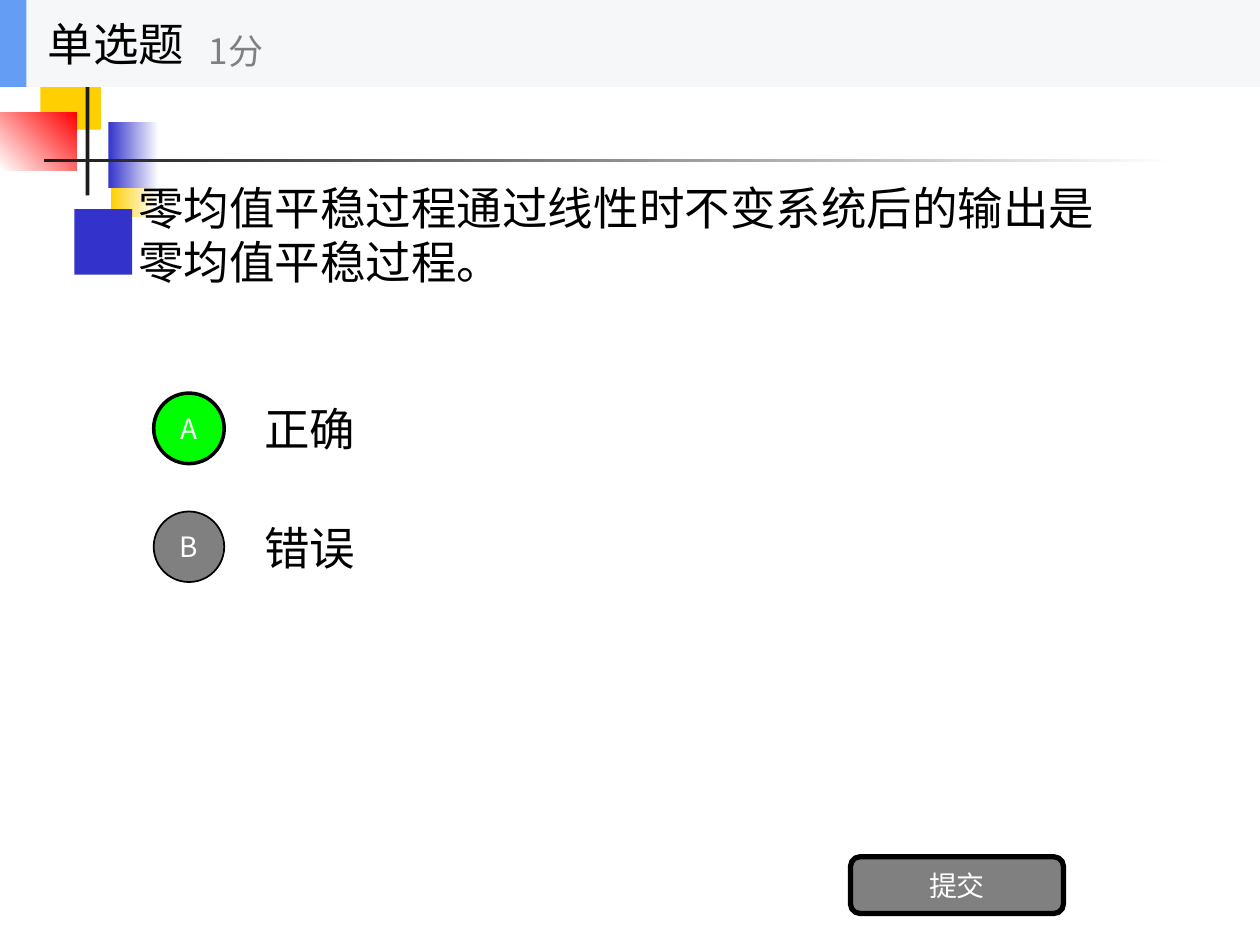
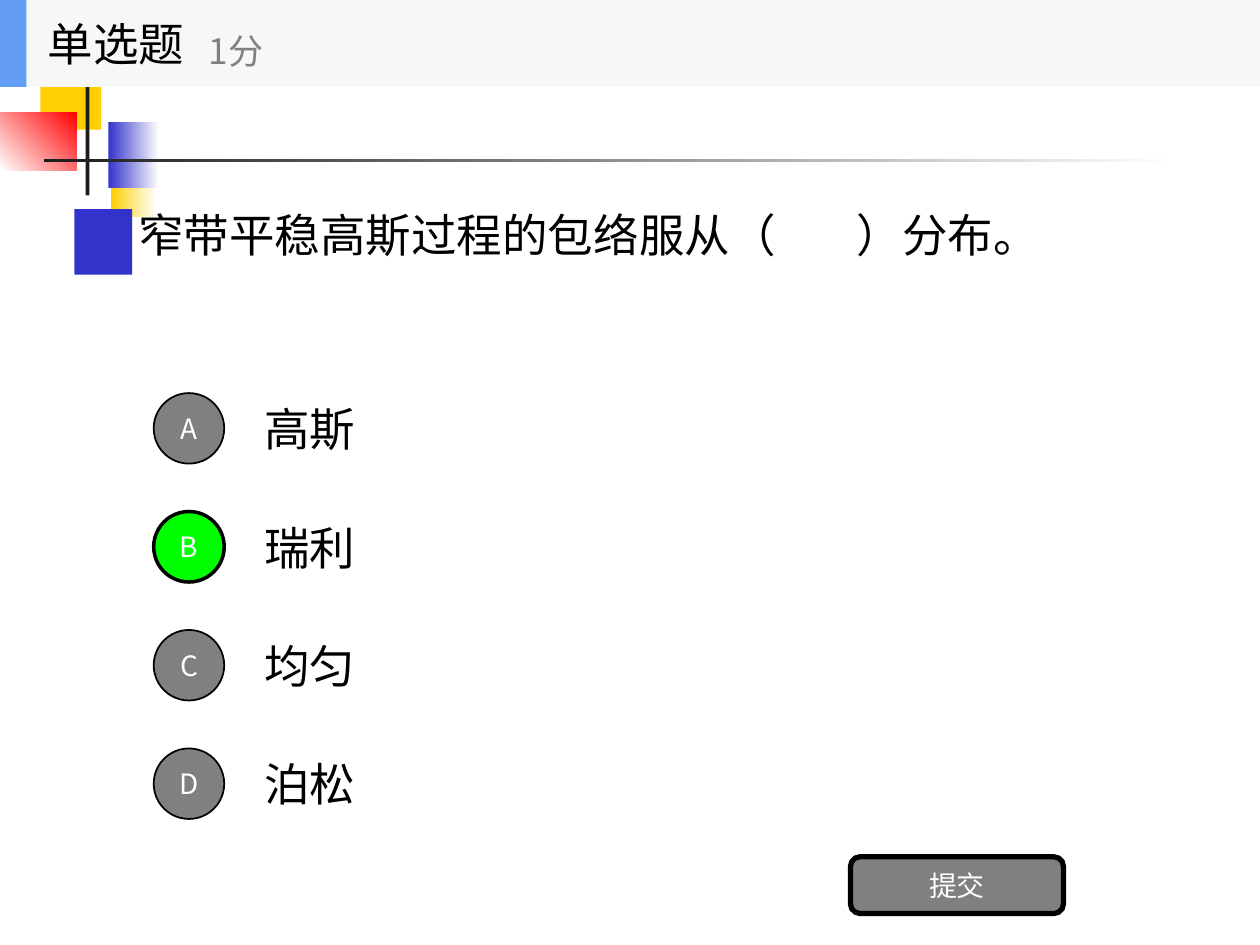
from dataclasses import dataclass

from lxml import etree
from pptx import Presentation
from pptx.dml.color import RGBColor
from pptx.enum import shapes, text
from pptx.oxml.ns import qn
from pptx.util import Inches, Pt


@dataclass(frozen=True)
class Theme:
    font: str = "Noto Sans CJK SC"
    body: int = 26
    score: int = 20
    label: int = 16
    black: str = "000000"
    white: str = "FFFFFF"
    gray: str = "808080"
    correct: str = "00FF00"
    header: str = "F6F7F8"
    accent: str = "639EF4"
    yellow: str = "FFCF01"
    blue: str = "3333CC"
    red: str = "FF0000"
    rule: str = "1C1C1C"


THEME = Theme()
RECT = shapes.MSO_SHAPE.RECTANGLE
OPTION_PITCH = 0.94

DECORATION = [
    ((0.88, 1.2, 0.36, 0.52), (THEME.yellow, THEME.white), 0),
    ((0.59, 1.66, 0.46, 0.52), (THEME.blue,), 0),
    ((0.32, 0.51, 0.48, 0.52), (THEME.yellow,), 0),
    ((0.86, 0.97, 0.4, 0.52), (THEME.blue, THEME.white), 0),
    ((0, 0.89, 0.61, 0.46), (THEME.white, THEME.red), 45),
    ((0.68, 0.4, 0.03, 1.15), (THEME.rule,), 0),
    ((0.35, 1.26, 9, 0.03), (THEME.rule, THEME.white), 0),
]

QUESTIONS = [
    ("零均值平稳过程通过线性时不变系统后的输出是零均值平稳过程。",
     ["正确", "错误"], "A"),
    ("窄带平稳高斯过程的包络服从（\t）分布。",
     ["高斯", "瑞利", "均匀", "泊松"], "B"),
]


def rgb(color):
    return RGBColor.from_string(color)


def inches(box):
    return [Inches(length) for length in box]


def write(shape, words, size, color, align=text.PP_ALIGN.LEFT, wrap=True, tab=None):
    frame = shape.text_frame
    frame.word_wrap = wrap
    frame.auto_size = text.MSO_AUTO_SIZE.NONE
    frame.vertical_anchor = text.MSO_ANCHOR.MIDDLE
    frame.text = words
    paragraph = frame.paragraphs[0]
    paragraph.alignment = align
    properties = paragraph._p.get_or_add_pPr()
    if tab:
        stops = etree.SubElement(properties, qn("a:tabLst"))
        etree.SubElement(stops, qn("a:tab"), pos=str(Inches(tab)), algn="l")
    font = paragraph.font
    font.size = Pt(size)
    font.color.rgb = rgb(color)
    font.name = THEME.font
    etree.SubElement(properties.find(qn("a:defRPr")), qn("a:ea"), typeface=THEME.font)


def add_text(slide, box, words, size, color, **options):
    write(slide.shapes.add_textbox(*inches(box)), words, size, color, **options)


def add_block(slide, box, colors, angle=0, kind=RECT, outline=None):
    block = slide.shapes.add_shape(kind, *inches(box))
    block.shadow.inherit = False
    if len(colors) == 1:
        block.fill.solid()
        block.fill.fore_color.rgb = rgb(colors[0])
    else:
        block.fill.gradient()
        block.fill.gradient_angle = angle
        for stop, color in zip(block.fill.gradient_stops, colors):
            stop.color.rgb = rgb(color)
    if outline:
        block.line.color.rgb = rgb(THEME.black)
        block.line.width = Pt(outline)
    else:
        block.line.fill.background()
    return block


def add_button(slide, box, kind, words, color, outline):
    button = add_block(slide, box, (color,), kind=kind, outline=outline)
    frame = button.text_frame
    frame.margin_left = frame.margin_right = 0
    frame.margin_top = frame.margin_bottom = 0
    write(button, words, THEME.label, THEME.white, align=text.PP_ALIGN.CENTER)


def add_decoration(slide):
    for box, colors, angle in DECORATION:
        add_block(slide, box, colors, angle)


def add_header(slide, box):
    left, top, width, height = box
    add_block(slide, box, (THEME.header,))
    add_block(slide, (left, top, 0.21, height), (THEME.accent,))
    title = slide.shapes.title
    title.left, title.top, title.width, title.height = inches(
        (left + 0.28, top, 2.08, height))
    write(title, "单选题", THEME.body, THEME.black, wrap=False)
    title.element.getparent().append(title.element)
    add_text(slide, (left + 1.56, top + 0.12, 2.5, 0.56), "1分",
             THEME.score, THEME.gray, wrap=False)


def add_option(slide, box, letter, answer, is_correct):
    left, top, width, height = box
    add_text(slide, (left + 0.78, top, width - 0.78, height), answer,
             THEME.body, THEME.black)
    color, outline = (THEME.correct, 2) if is_correct else (THEME.gray, 1)
    add_button(slide, (left, top + 0.07, 0.56, 0.56), shapes.MSO_SHAPE.OVAL,
               letter, color, outline)


def add_question_slide(deck, question, answers, correct):
    slide = deck.slides.add_slide(deck.slide_layouts[5])
    slide.background.fill.solid()
    slide.background.fill.fore_color.rgb = rgb(THEME.white)
    add_decoration(slide)
    add_text(slide, (1, 0.69, 8, 2.34), question, THEME.body, THEME.black,
             tab=5.7 if "\t" in question else None)
    for row, (letter, answer) in enumerate(zip("ABCD", answers)):
        add_option(slide, (1.22, 3.05 + row * OPTION_PITCH, 7.78, 0.7),
                   letter, answer, letter == correct)
    add_button(slide, (6.75, 6.8, 1.69, 0.45), shapes.MSO_SHAPE.ROUNDED_RECTANGLE,
               "提交", THEME.gray, 3)
    add_header(slide, (0, 0, 10, 0.69))


def main():
    deck = Presentation()
    deck.slide_width, deck.slide_height = Inches(10), Inches(7.5)
    for question, answers, correct in QUESTIONS:
        add_question_slide(deck, question, answers, correct)
    deck.save("out.pptx")


if __name__ == "__main__":
    main()
